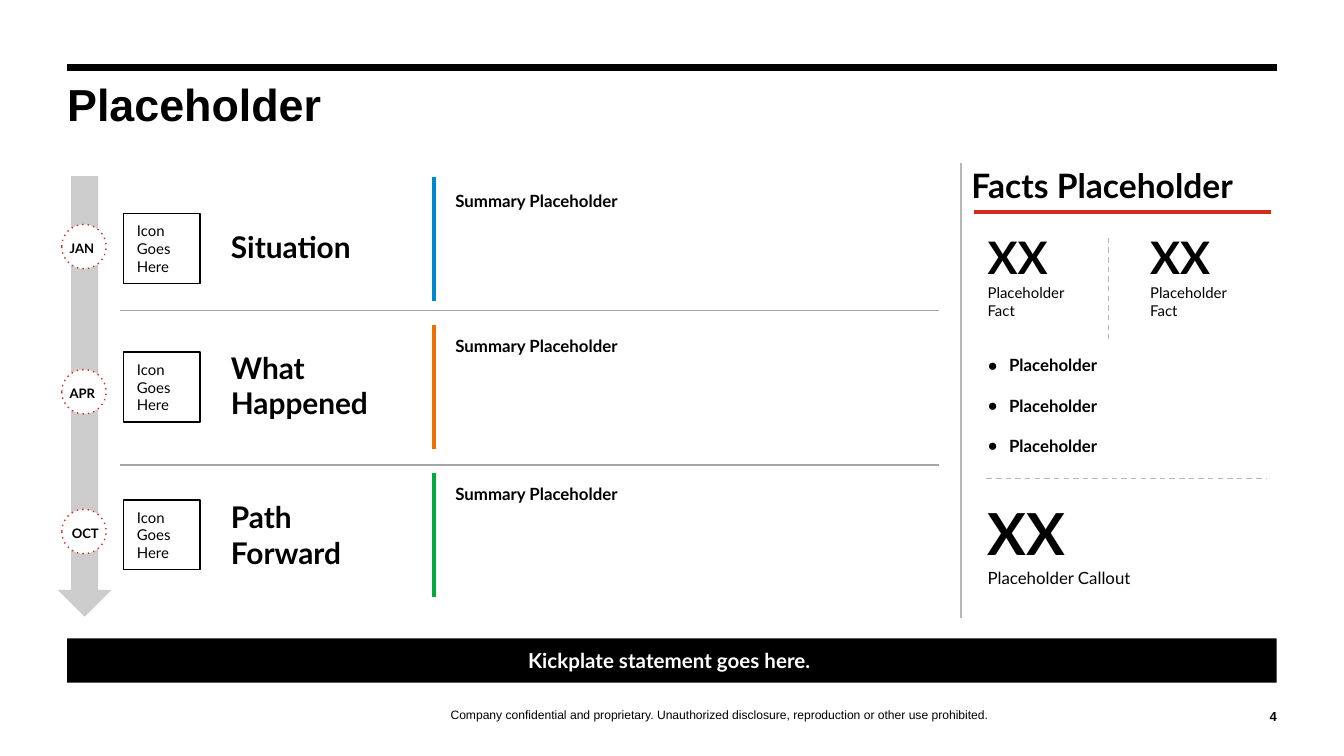
from pptx import Presentation
from pptx.dml.color import RGBColor
from pptx.enum.dml import MSO_LINE
from pptx.enum.shapes import MSO_CONNECTOR, MSO_SHAPE
from pptx.enum.text import MSO_ANCHOR, PP_ALIGN
from pptx.oxml.ns import qn
from pptx.util import Inches, Pt
from lxml.etree import SubElement

COLORS = {
    "black": "000000", "white": "FFFFFF", "red": "D52B1E", "blue": "0088CE",
    "orange": "ED7000", "green": "00AC3E", "arrow": "CCCCCC",
    "row_rule": "A5A5A5", "fact_rule": "B7B7B7",
}

STAGES = [
    {"month": "JAN", "align": PP_ALIGN.LEFT, "heading": ["Situation"], "color": "blue",
     "circle": 1.67, "icon": 1.59, "heading_box": (1.54, 0.59), "bar": 1.32, "summary": 1.34},
    {"month": "APR", "align": PP_ALIGN.LEFT, "heading": ["What", "Happened"], "color": "orange",
     "circle": 2.75, "icon": 2.62, "heading_box": (2.57, 0.59), "bar": 2.42, "summary": 2.42},
    {"month": "OCT", "align": PP_ALIGN.CENTER, "heading": ["Path", "Forward"], "color": "green",
     "circle": 3.79, "icon": 3.72, "heading_box": (3.75, 0.46), "bar": 3.52, "summary": 3.52},
]

FACT = [("XX", 24, True), ("Placeholder", 8, False), ("Fact", 8, False)]


def rgb(name):
    return RGBColor.from_string(COLORS[name])


def write(shape, lines, font="Lato", color="black", align=PP_ALIGN.LEFT,
          anchor=MSO_ANCHOR.TOP, inset=(0.1, 0.1), spacing=None):
    frame = shape.text_frame
    frame.word_wrap = True
    frame.vertical_anchor = anchor
    frame.margin_left = frame.margin_right = Inches(inset[0])
    frame.margin_top = frame.margin_bottom = Inches(inset[1])
    for index, (text, size, bold) in enumerate(lines):
        para = frame.add_paragraph() if index else frame.paragraphs[0]
        para.text = text
        para.alignment = align
        para.line_spacing = spacing
        para.font.name = font
        para.font.size = Pt(size)
        para.font.bold = bold
        para.font.color.rgb = rgb(color)


def add_text(page, left, top, width, height, lines, **style):
    box = page.shapes.add_textbox(Inches(left), Inches(top), Inches(width), Inches(height))
    write(box, lines, **style)
    return box


def add_block(page, kind, left, top, width, height, fill, outline=None):
    shape = page.shapes.add_shape(kind, Inches(left), Inches(top), Inches(width), Inches(height))
    shape.shadow.inherit = False
    shape.fill.solid()
    shape.fill.fore_color.rgb = rgb(fill)
    if outline:
        shape.line.color.rgb = rgb(outline)
        shape.line.width = Pt(0.75)
    else:
        shape.line.fill.background()
    return shape


def add_line(page, start, end, color, width=0.75, dash=None):
    line = page.shapes.add_connector(MSO_CONNECTOR.STRAIGHT, *map(Inches, start + end))
    line.line.color.rgb = rgb(color)
    line.line.width = Pt(width)
    if dash:
        line.line.dash_style = dash
    SubElement(line._element.spPr, qn("a:effectLst"))


def add_stage(page, stage):
    circle = add_block(page, MSO_SHAPE.OVAL, 0.46, stage["circle"], 0.33, 0.33, "white", "red")
    circle.line.dash_style = MSO_LINE.ROUND_DOT
    circle._element.spPr.find(".//" + qn("a:prstDash")).set("val", "dot")
    add_text(page, 0.42, stage["circle"] + 0.07, 0.43, 0.22, [(stage["month"], 7, True)],
             align=stage["align"], inset=(0.1, 0.05))
    icon = add_block(page, MSO_SHAPE.RECTANGLE, 0.92, stage["icon"], 0.57, 0.52, "white", "black")
    write(icon, [("Icon Goes Here", 8, False)], anchor=MSO_ANCHOR.MIDDLE)
    top, height = stage["heading_box"]
    add_text(page, 1.62, top, 1.75, height, [(text, 16, True) for text in stage["heading"]],
             anchor=MSO_ANCHOR.MIDDLE)
    add_line(page, (3.23, stage["bar"]), (3.23, stage["bar"] + 0.92), stage["color"], 2.25)
    add_text(page, 3.29, stage["summary"], 3.64, 0.97, [("Summary Placeholder", 9, True)])


def set_bullet(para, space):
    para.space_before = Pt(space)
    properties = para._p.get_or_add_pPr()
    properties.set("marL", str(Inches(0.16)))
    properties.set("indent", str(-Inches(0.16)))
    for tag, attributes in (("a:buFont", {"typeface": "Arial"}), ("a:buChar", {"char": "●"})):
        bullet = properties.makeelement(qn(tag), attributes)
        properties.insert_element_before(bullet, "a:tabLst", "a:defRPr", "a:extLst")


def add_facts(page):
    add_line(page, (7.15, 1.21), (7.15, 4.6), "fact_rule")
    add_text(page, 7.13, 1.13, 2.64, 0.4, [("Facts Placeholder", 18, True)])
    add_line(page, (7.25, 1.58), (9.46, 1.58), "red", 2.25)
    facts = add_text(page, 7.25, 1.61, 2.13, 3, FACT + [("Placeholder", 9, True)] * 3)
    for para, space in zip(facts.text_frame.paragraphs[len(FACT):], (19.2, 10.8, 10.8)):
        set_bullet(para, space)
    add_text(page, 8.46, 1.61, 1.4, 1.07, FACT)
    add_line(page, (8.25, 1.77), (8.25, 2.52), "fact_rule", dash=MSO_LINE.DASH)
    add_line(page, (7.34, 3.56), (9.43, 3.56), "fact_rule", dash=MSO_LINE.DASH)
    add_text(page, 7.25, 3.47, 2.32, 1.14,
             [("XX", 31, True), ("Placeholder Callout", 9, False)], anchor=MSO_ANCHOR.MIDDLE)


def add_frame(page):
    add_line(page, (0.5, 0.5), (9.5, 0.5), "black", 3.75)
    add_text(page, 0.5, 0.65, 7.75, 0.75, [("Placeholder", 24, True)],
             font="Arial", inset=(0, 0), spacing=0.8)
    kickplate = add_block(page, MSO_SHAPE.RECTANGLE, 0.5, 4.75, 9, 0.33, "black")
    write(kickplate, [("Kickplate statement goes here. ", 11, True)], color="white",
          align=PP_ALIGN.CENTER, anchor=MSO_ANCHOR.MIDDLE)
    notice = ("Company confidential and proprietary. Unauthorized disclosure, "
              "reproduction or other use prohibited.")
    add_text(page, 1.46, 5.04, 7.79, 0.33, [(notice, 6.5, False)], font="Arial",
             align=PP_ALIGN.CENTER, anchor=MSO_ANCHOR.BOTTOM, inset=(0, 0), spacing=1.14)
    add_text(page, 9.25, 5.14, 0.25, 0.25, [("4", 7, True)], font="Arial",
             align=PP_ALIGN.RIGHT, anchor=MSO_ANCHOR.BOTTOM, inset=(0, 0))


def main():
    deck = Presentation()
    deck.slide_width = Inches(10)
    deck.slide_height = deck.slide_width * 9 // 16
    page = deck.slides.add_slide(deck.slide_layouts[6])
    add_frame(page)
    add_block(page, MSO_SHAPE.DOWN_ARROW, 0.43, 1.31, 0.4, 3.28, "arrow")
    for height in (2.31, 3.46):
        add_line(page, (0.89, height), (6.99, height), "row_rule")
    for stage in STAGES:
        add_stage(page, stage)
    add_facts(page)
    deck.save("out.pptx")


if __name__ == "__main__":
    main()
